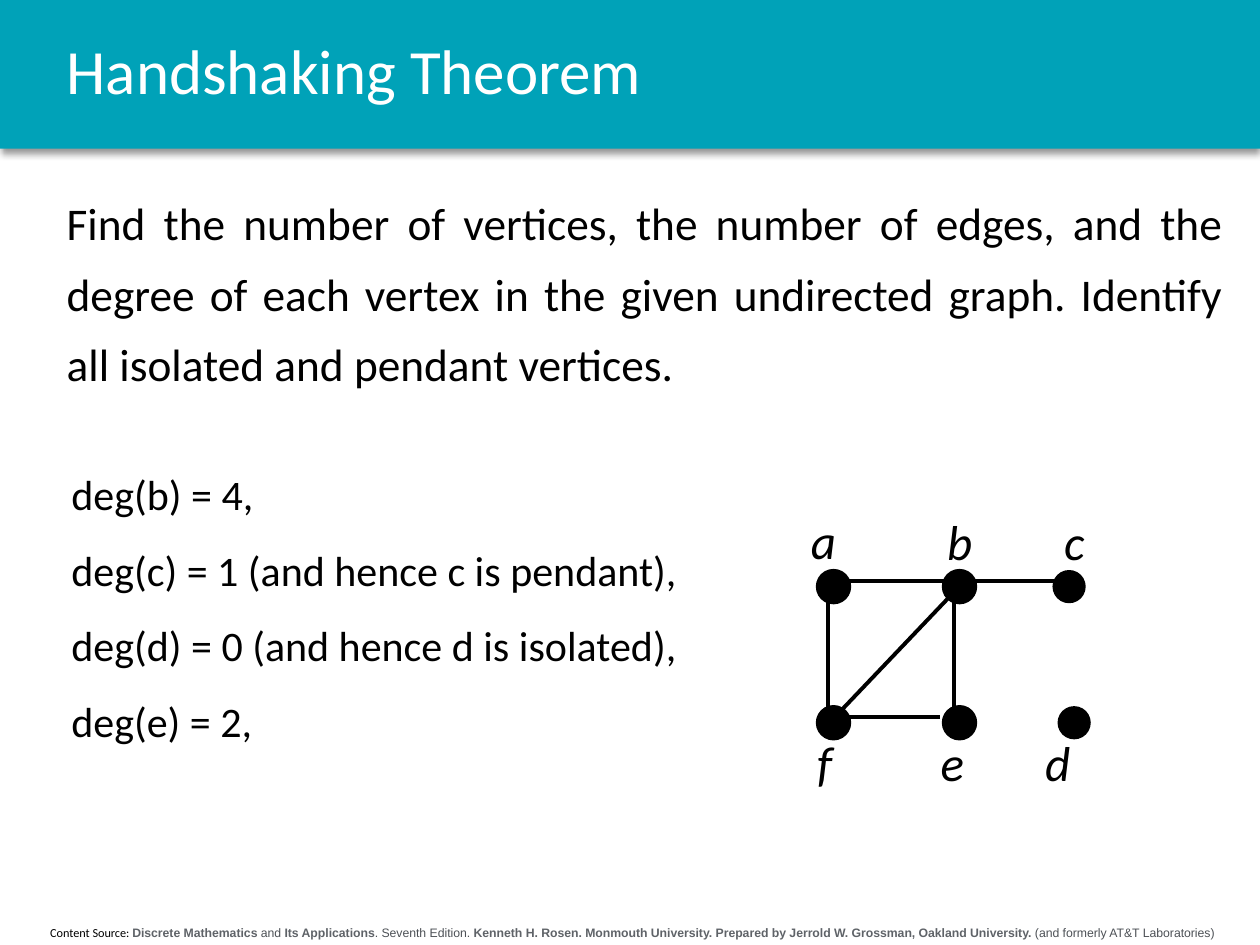
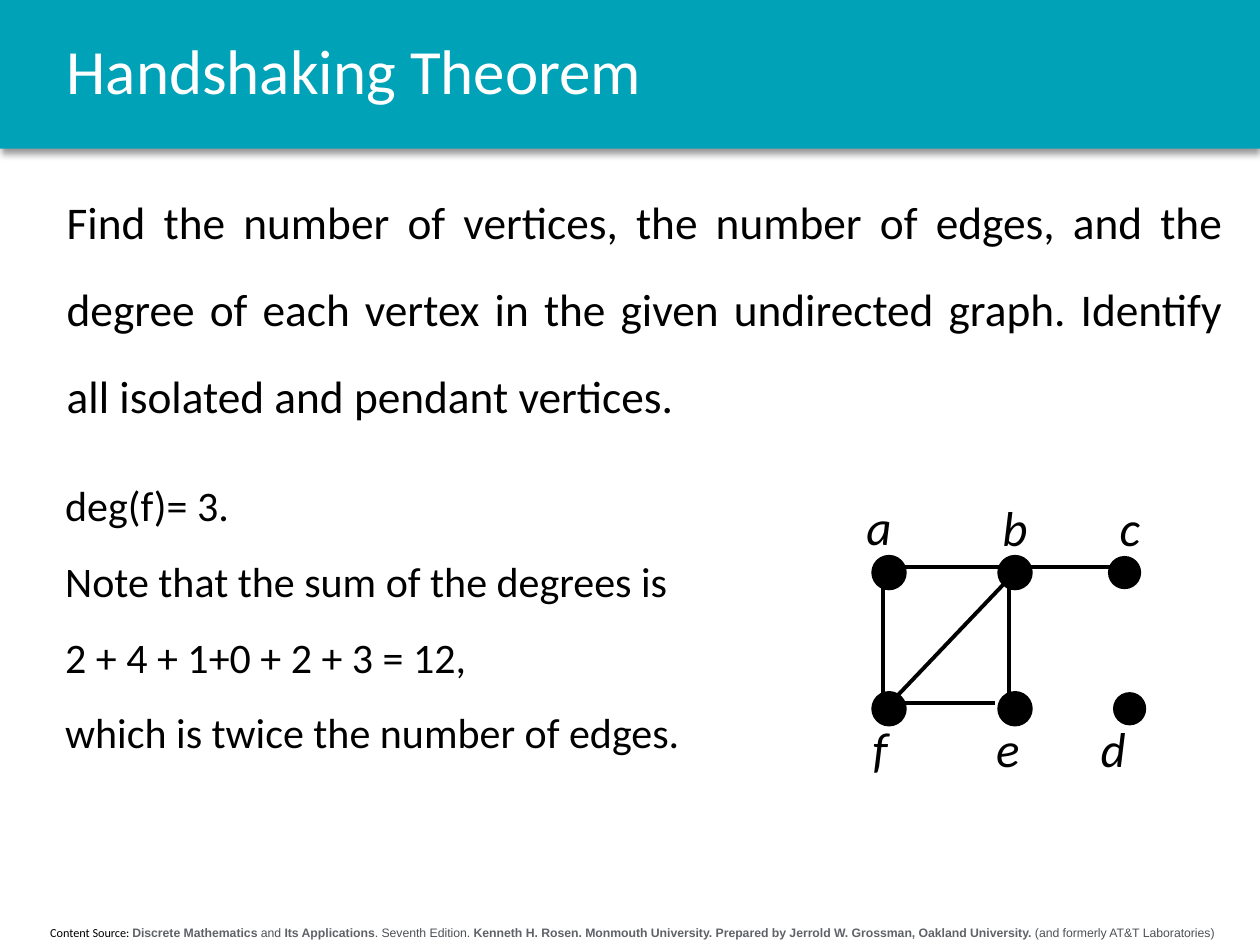
from dataclasses import dataclass

from lxml import etree
from pptx import Presentation
from pptx.dml.color import RGBColor
from pptx.enum.shapes import MSO_CONNECTOR, MSO_SHAPE
from pptx.enum.text import MSO_ANCHOR, PP_ALIGN
from pptx.oxml.ns import qn
from pptx.shapes.group import GroupShape
from pptx.slide import Slide
from pptx.util import Pt

RECT, OVAL = MSO_SHAPE.RECTANGLE, MSO_SHAPE.OVAL
STRAIGHT = MSO_CONNECTOR.STRAIGHT
TOP, MIDDLE = MSO_ANCHOR.TOP, MSO_ANCHOR.MIDDLE
LEFT, CENTER, JUSTIFY = PP_ALIGN.LEFT, PP_ALIGN.CENTER, PP_ALIGN.JUSTIFY

TEAL, BLACK, WHITE = "00A2B8", "000000", "FFFFFF"
STRONG, MUTED = "5F6368", "4D5156"
BODY_FONT, SOURCE_FONT = "Calibri", "Arial"
SLIDE_W, SLIDE_H, BAND_H = 720, 540, 85
DOT, ROW_GAP = 18, 77.8


@dataclass(frozen=True)
class Run:
    text: str
    size: float
    color: str = BLACK
    font: str = BODY_FONT
    bold: bool = False
    italic: bool = False


@dataclass(frozen=True)
class Box:
    x: float
    y: float
    w: float
    h: float


@dataclass(frozen=True)
class Vertex:
    x: float
    y: float
    outline: float
    label: str
    label_box: Box


@dataclass(frozen=True)
class Edge:
    x1: float
    y1: float
    x2: float
    y2: float


@dataclass(frozen=True)
class Page:
    question_box: Box
    question_spacing: float
    answer_box: Box
    answer_align: PP_ALIGN
    answers: tuple[str, ...]
    graph_x: float
    graph_y: float


TITLE = "Handshaking Theorem"
QUESTION = ("Find the number of vertices, the number of edges, and the degree of each "
            "vertex in the given undirected graph. Identify all isolated and pendant vertices.")


def source_run(text: str, bold: bool) -> Run:
    return Run(text, 7, STRONG if bold else MUTED, SOURCE_FONT, bold)


SOURCE = [
    Run("Content Source: ", 7),
    source_run("Discrete Mathematics", True),
    source_run(" and ", False),
    source_run("Its Applications", True),
    source_run(". Seventh Edition. ", False),
    source_run("Kenneth H. Rosen. Monmouth University. Prepared by Jerrold W. Grossman, "
               "Oakland University.", True),
    source_run(" (and formerly AT&T Laboratories)", False),
]

VERTICES = [
    Vertex(0, 0, 2.25, "a", Box(-11, -38.2, 31, 41)),
    Vertex(72, 0, 2.25, "b", Box(66.8, -37.4, 31, 41)),
    Vertex(134.6, 0, 1, "c", Box(133.7, -37.4, 30, 41)),
    Vertex(137.5, ROW_GAP, 1, "d", Box(122.9, 88.6, 31, 41)),
    Vertex(72, ROW_GAP, 2.25, "e", Box(63.2, 88.6, 31, 41)),
    Vertex(0, ROW_GAP, 2.25, "f", Box(-7.4, 88.6, 25, 41)),
]
EDGES = [
    Edge(5.8, DOT, 5.8, ROW_GAP),
    Edge(77.8, DOT, 77.8, ROW_GAP),
    Edge(4.3, 83.5, 69.8, 83.5),
    Edge(77.8, 12.2, 5, 88.6),
    Edge(2.9, 5.8, 74.9, 5.8),
    Edge(140.4, 5.8, 74.9, 5.8),
]

PAGES = [
    Page(Box(31, 98.6, 675, 129), 1.3, Box(33.8, 249.8, 407.5, 175.7), LEFT,
         ("deg(b) = 4,", "deg(c) = 1 (and hence c is pendant),",
          "deg(d) = 0 (and hence d is isolated),", "deg(e) = 2,"), 467.3, 326.2),
    Page(Box(31, 88.6, 675, 156), 1.6, Box(30.2, 256.3, 400.3, 219.6), JUSTIFY,
         ("deg(f)= 3.", "Note that the sum of the degrees is",
          "2 + 4 + 1+0 + 2 + 3 = 12,", "which is twice the number of edges."), 499, 318.2),
]


def rgb(color: str) -> RGBColor:
    return RGBColor.from_string(color)


def add_text(parent: Slide | GroupShape, box: Box, paragraphs: list[list[Run]],
             align: PP_ALIGN = LEFT, spacing: float = 1, anchor: MSO_ANCHOR = TOP,
             wrap: bool = True) -> None:
    sp = parent.shapes.add_textbox(Pt(box.x), Pt(box.y), Pt(box.w), Pt(box.h))
    tf = sp.text_frame
    tf.word_wrap = wrap
    tf.vertical_anchor = anchor
    for i, runs in enumerate(paragraphs):
        p = tf.add_paragraph() if i else tf.paragraphs[0]
        p.alignment = align
        p.line_spacing = spacing
        for run in runs:
            r = p.add_run()
            r.text = run.text
            r.font.size = Pt(run.size)
            r.font.name = run.font
            r.font.bold = run.bold
            r.font.italic = run.italic
            r.font.color.rgb = rgb(run.color)


def add_band(s: Slide) -> None:
    sp = s.shapes.add_shape(RECT, 0, 0, Pt(SLIDE_W), Pt(BAND_H))
    sp.fill.solid()
    sp.fill.fore_color.rgb = rgb(TEAL)
    sp.line.fill.background()
    sp.shadow.inherit = False
    effects = sp._element.spPr.find(qn("a:effectLst"))
    shadow = etree.SubElement(effects, qn("a:outerShdw"), blurRad=str(Pt(4)),
                              dist=str(Pt(3)), dir="5400000", algn="t", rotWithShape="0")
    color = etree.SubElement(shadow, qn("a:srgbClr"), val=BLACK)
    etree.SubElement(color, qn("a:alpha"), val="40000")


def add_frame(s: Slide) -> None:
    add_band(s)
    add_text(s, Box(2.9, 524.9, 717, 15.8), [SOURCE], CENTER)
    add_text(s, Box(31, 0, 669.6, BAND_H), [[Run(TITLE, 36, WHITE)]],
             spacing=0.9, anchor=MIDDLE)


def add_vertex(group: GroupShape, vertex: Vertex, x: float, y: float) -> None:
    sp = group.shapes.add_shape(OVAL, Pt(x + vertex.x), Pt(y + vertex.y), Pt(DOT), Pt(DOT))
    sp.fill.solid()
    sp.fill.fore_color.rgb = rgb(BLACK)
    sp.line.color.rgb = rgb(BLACK)
    sp.line.width = Pt(vertex.outline)
    sp.shadow.inherit = False
    box = vertex.label_box
    add_text(group, Box(x + box.x, y + box.y, box.w, box.h),
             [[Run(vertex.label, 28, italic=True)]], wrap=False)


def add_edge(group: GroupShape, edge: Edge, x: float, y: float) -> None:
    line = group.shapes.add_connector(STRAIGHT, Pt(x + edge.x1), Pt(y + edge.y1),
                                      Pt(x + edge.x2), Pt(y + edge.y2))
    line.line.color.rgb = rgb(BLACK)
    line.line.width = Pt(2.25)
    etree.SubElement(line._element.spPr, qn("a:effectLst"))


def add_graph(s: Slide, x: float, y: float) -> None:
    group = s.shapes.add_group_shape()
    for edge in EDGES:
        add_edge(group, edge, x, y)
    for vertex in VERTICES:
        add_vertex(group, vertex, x, y)


def add_page(prs: Presentation, page: Page) -> None:
    s = prs.slides.add_slide(prs.slide_layouts[6])
    add_frame(s)
    add_text(s, page.answer_box, [[Run(answer, 24)] for answer in page.answers],
             page.answer_align, 1.5)
    add_text(s, page.question_box, [[Run(QUESTION, 25.9)]], JUSTIFY, page.question_spacing)
    add_graph(s, page.graph_x, page.graph_y)


def main() -> None:
    prs = Presentation()
    prs.slide_width, prs.slide_height = Pt(SLIDE_W), Pt(SLIDE_H)
    for page in PAGES:
        add_page(prs, page)
    prs.save("out.pptx")


if __name__ == "__main__":
    main()
